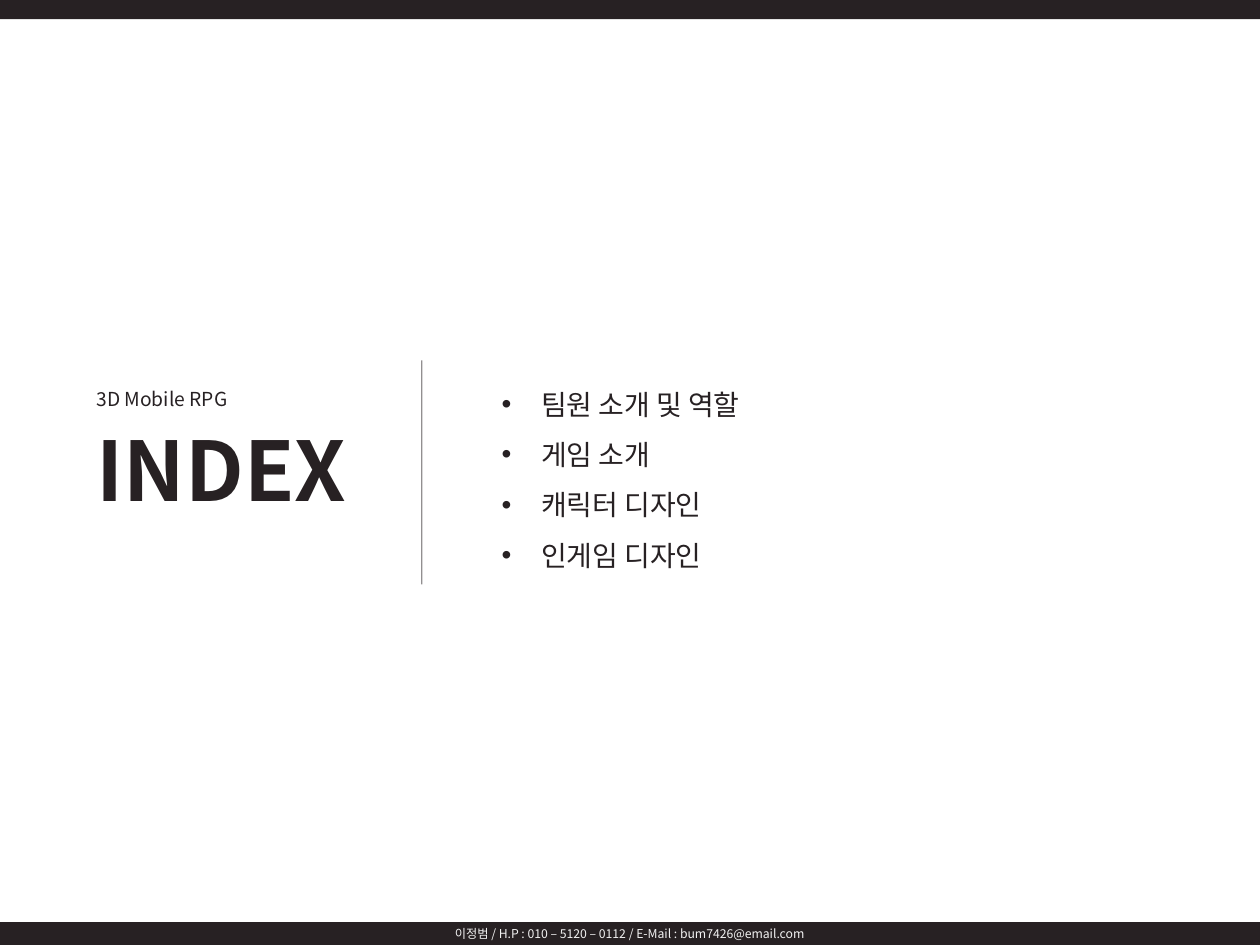
import pptx
import pptx.util
import pptx.dml.color
import pptx.enum.shapes
import pptx.enum.text
import pptx.oxml.ns
from dataclasses import dataclass
from lxml import etree

Pt = pptx.util.Pt
Align = pptx.enum.text.PP_ALIGN
Anchor = pptx.enum.text.MSO_ANCHOR


@dataclass(frozen=True)
class Theme:
    font: str = "Noto Sans CJK KR"
    ink: str = "272123"
    pale: str = "F2F2F2"
    dark_edge: str = "000000"
    pale_edge: str = "D9D9D9"
    title_size: float = 47
    list_size: float = 16
    subtitle_size: float = 11
    footer_size: float = 7
    hairline: float = 0.75


THEME = Theme()


def color(value):
    return pptx.dml.color.RGBColor.from_string(value)


def add_node(parent, tag, **attributes):
    return etree.SubElement(parent, pptx.oxml.ns.qn(tag), attributes)


def set_values(target, values):
    for name, value in values.items():
        setattr(target, name, value)


def place(item, box):
    names = ("left", "top", "width", "height")
    set_values(item, {name: Pt(length) for name, length in zip(names, box)})


def write(frame, lines, size, ink=THEME.ink, edge=THEME.dark_edge, bold=False,
          anchor=Anchor.TOP, **para_format):
    """Fill a text frame, one paragraph for each line."""
    set_values(frame, {"word_wrap": True, "vertical_anchor": anchor,
                       "auto_size": pptx.enum.text.MSO_AUTO_SIZE.NONE})
    for index, line in enumerate(lines):
        para = frame.add_paragraph() if index else frame.paragraphs[0]
        set_values(para, {"alignment": Align.LEFT, "space_before": Pt(0), **para_format})
        span = para.add_run()
        span.text = line
        set_values(span.font, {"name": THEME.font, "size": Pt(size), "bold": bold})
        span.font.color.rgb = color(ink)
        # Korean typeface and a faint outline
        style = span.font._element
        add_node(style, "a:ea", typeface=THEME.font)
        outline = add_node(style, "a:ln", w=str(Pt(THEME.hairline)))
        fill = add_node(add_node(outline, "a:solidFill"), "a:srgbClr", val=edge)
        add_node(fill, "a:alpha", val="30000")
        style.insert(0, outline)


def add_heading(page, box):
    left, top, width, height = box
    subtitle_height = 21
    # Title
    place(page.shapes.title, (left, top + 18, width, height - 18))
    write(page.shapes.title.text_frame, ["INDEX"], THEME.title_size, bold=True)
    # Small line above the title
    subtitle = page.shapes.add_textbox(0, 0, 0, 0)
    place(subtitle, (left, top, width, subtitle_height))
    write(subtitle.text_frame, ["3D Mobile RPG"], THEME.subtitle_size)


def add_divider(page, box):
    left, top, _, height = box
    line = page.shapes.add_connector(pptx.enum.shapes.MSO_CONNECTOR.STRAIGHT,
                                     Pt(left), Pt(top), Pt(left), Pt(top + height))
    line.line.color.rgb = color(THEME.ink)
    line.line.width = Pt(THEME.hairline)
    fill = line.line._ln.find(".//" + pptx.oxml.ns.qn("a:srgbClr"))
    add_node(fill, "a:alpha", val="50000")
    add_node(line._element.spPr, "a:effectLst")


def add_contents(page, box, topics):
    body = page.placeholders[1]
    place(body, box)
    write(body.text_frame, topics, THEME.list_size, line_spacing=1.5)
    indent = Pt(22.5)
    for para in body.text_frame.paragraphs:
        layout = para._p.get_or_add_pPr()
        layout.set("marL", str(indent))
        layout.set("indent", str(-indent))
        add_node(layout, "a:buFont", typeface="Arial")
        add_node(layout, "a:buChar", char="•")


def add_band(page, box, text=None):
    band = page.shapes.add_shape(pptx.enum.shapes.MSO_SHAPE.RECTANGLE, 0, 0, 0, 0)
    place(band, box)
    band.shadow.inherit = False
    band.fill.solid()
    band.fill.fore_color.rgb = color(THEME.ink)
    band.line.fill.background()
    if text:
        write(band.text_frame, [text], THEME.footer_size, THEME.pale, THEME.pale_edge,
              anchor=Anchor.MIDDLE, alignment=Align.CENTER)


def main():
    deck = pptx.Presentation()
    set_values(deck, {"slide_width": Pt(720), "slide_height": Pt(540)})
    page = deck.slides.add_slide(deck.slide_layouts[1])
    page.background.fill.solid()
    page.background.fill.fore_color.rgb = color("FFFFFF")

    add_heading(page, (48, 218, 263, 82))
    add_divider(page, (241, 206, 0, 128))
    add_contents(page, (279.5, 208, 273.5, 124),
                 ["팀원 소개 및 역할", "게임 소개", "캐릭터 디자인", "인게임 디자인"])
    # Bands along the bottom and top edges
    add_band(page, (-34.5, 527, 788.5, 13),
             "이정범 / H.P : 010 – 5120 – 0112 / E-Mail : bum7426@email.com")
    add_band(page, (-34.5, -2, 788.5, 13))
    deck.save("out.pptx")


if __name__ == "__main__":
    main()
